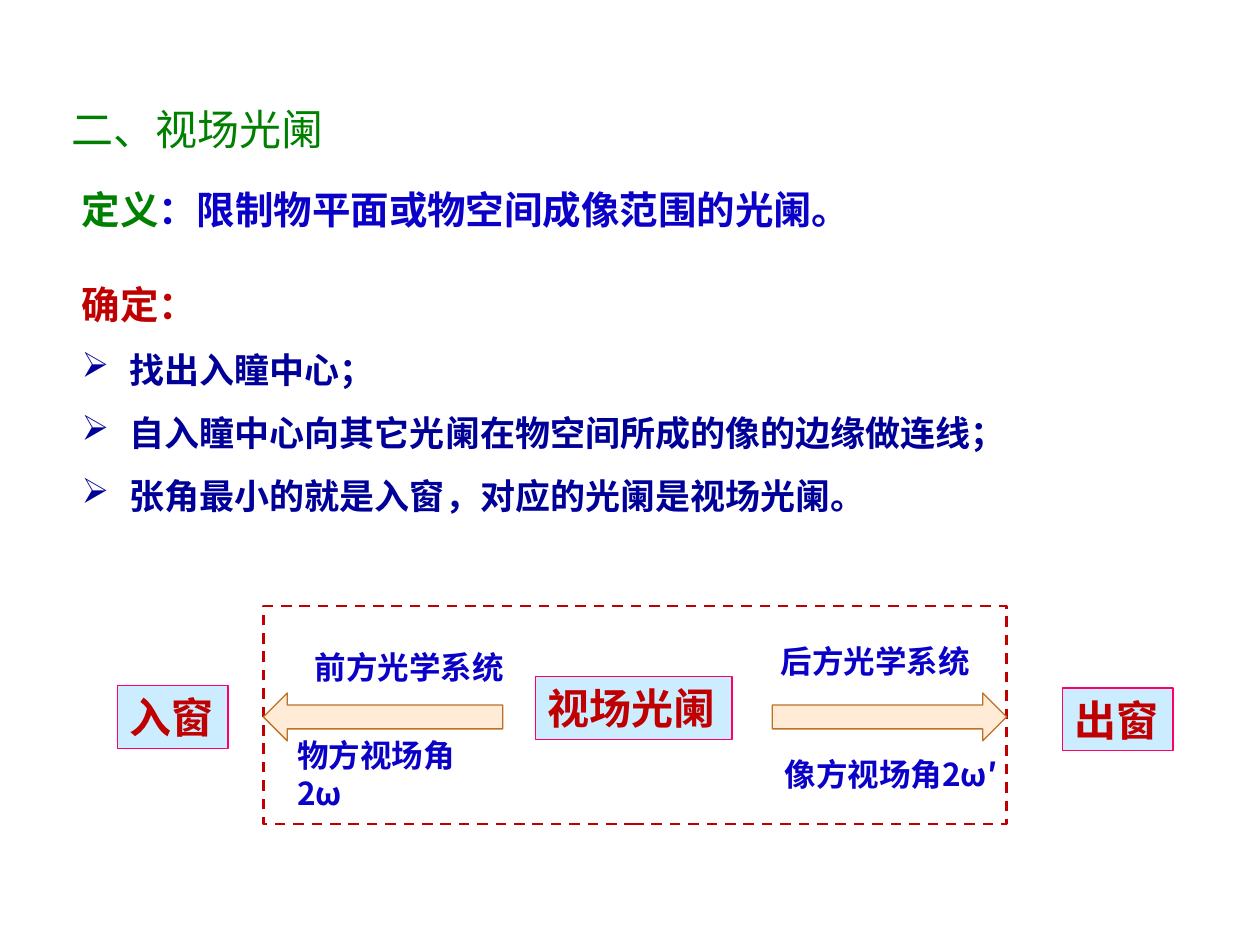
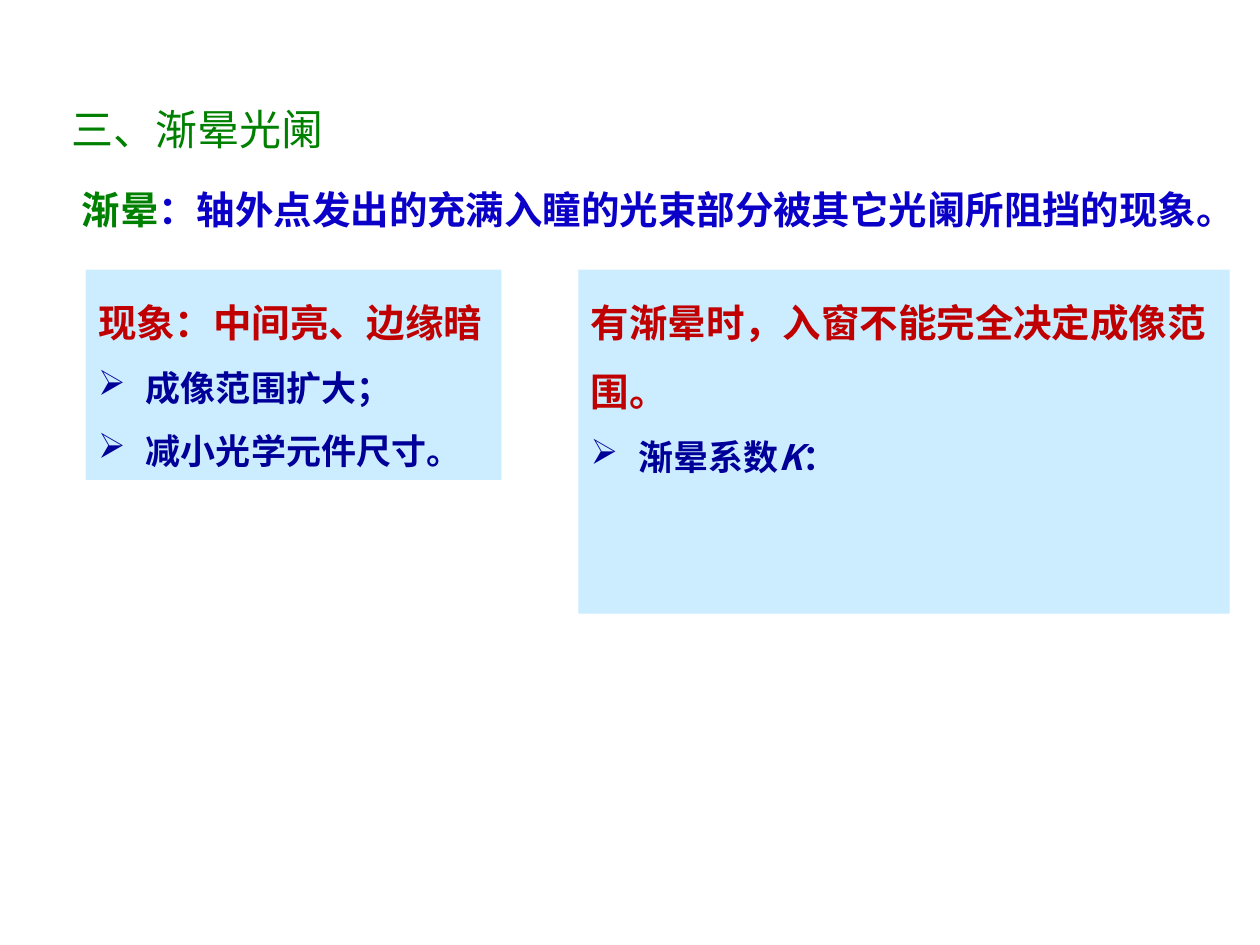
from lxml.etree import SubElement
from pptx import Presentation
from pptx.dml.color import RGBColor
from pptx.enum.dml import MSO_LINE
from pptx.enum.shapes import MSO_SHAPE
from pptx.enum.text import MSO_ANCHOR, PP_ALIGN
from pptx.oxml.ns import qn
from pptx.util import Inches, Pt

FONT = "Noto Sans CJK SC"
GREEN = RGBColor(0x00, 0x80, 0x00)
BLUE = RGBColor(0x0A, 0x00, 0xC8)
NAVY = RGBColor(0x00, 0x00, 0x99)
RED = RGBColor(0xC0, 0x00, 0x00)
PINK = RGBColor(0xFF, 0x00, 0x66)
SKY = RGBColor(0xCC, 0xEC, 0xFF)
CREAM = RGBColor(0xFF, 0xEB, 0xD6)
BROWN = RGBColor(0xBD, 0x71, 0x26)
WHITE = RGBColor(0xFF, 0xFF, 0xFF)


def style(run, size, color, bold=True, slant=False):
    font = run.font
    font.size, font.bold, font.italic = Pt(size), bold, slant
    font.color.rgb = color
    font.name = FONT
    SubElement(run._r.get_or_add_rPr(), qn("a:ea"), typeface=FONT)


def write(para, parts, size, bold=True, space=1.0):
    para.alignment = PP_ALIGN.LEFT
    para.line_spacing = Pt(round(size * 1.2 * space, 1))
    for text, color, *slant in parts:
        run = para.add_run()
        run.text = text
        style(run, size, color, bold, bool(slant))


def bullet(para, parts):
    write(para, parts, 20)
    para.space_before = Pt(12)
    props = para._p.get_or_add_pPr()
    props.set("marL", str(Inches(0.38)))
    props.set("indent", str(-Inches(0.38)))
    SubElement(props, qn("a:buChar"), char="➢")


def setup(shape):
    frame = shape.text_frame
    frame.word_wrap = True
    frame.vertical_anchor = MSO_ANCHOR.TOP
    return frame


def label(slide, box, parts, size, bold=True, space=1.0):
    shape = slide.shapes.add_textbox(*map(Inches, box))
    write(setup(shape).paragraphs[0], parts, size, bold, space)


def block(slide, kind, box, fill, line=None, width=0.75):
    shape = slide.shapes.add_shape(kind, *map(Inches, box))
    shape.shadow.inherit = False
    shape.fill.solid()
    shape.fill.fore_color.rgb = fill
    if line is None:
        shape.line.fill.background()
    else:
        shape.line.color.rgb = line
        shape.line.width = Pt(width)
    return shape


def points(frame, head, items, space=1.0):
    write(frame.paragraphs[0], [(head, RED)], 22, space=space)
    for parts in items:
        bullet(frame.add_paragraph(), parts)


def header(slide, title, term, text, width):
    label(slide, (0.47, 0.69, 2.73, 0.59), [(title, GREEN)], 24, False, 1.2)
    label(slide, (0.55, 1.43, width, 0.47), [(term, GREEN), (text, BLUE)], 22)


def panel(slide, box, head, items):
    shape = block(slide, MSO_SHAPE.RECTANGLE, box, SKY)
    points(setup(shape), head, items, 1.5)


def diagram(slide, box):
    left, top, width, height = box
    frame = block(slide, MSO_SHAPE.RECTANGLE, box, WHITE, RED, 1.5)
    frame.line.dash_style = MSO_LINE.DASH
    for text, x, y, w in (
        ("前方光学系统", 0.31, 0.28, 1.73),
        ("物方视场角2ω", 0.17, 0.98, 1.6),
        ("后方光学系统", 4.01, 0.24, 1.73),
        ("像方视场角2ω′", 4.04, 1.13, 2.11),
    ):
        label(slide, (left + x, top + y, w, 0.4), [(text, BLUE)], 18)
    for text, x, y, w in (
        ("视场光阑", 2.16, 0.56, 1.56),
        ("入窗", -1.16, 0.63, 0.88),
        ("出窗", 6.34, 0.65, 0.88),
    ):
        spot = (left + x, top + y, w, 0.5)
        shape = block(slide, MSO_SHAPE.RECTANGLE, spot, SKY, PINK)
        write(setup(shape).paragraphs[0], [(text, RED)], 24)
    for kind, x, w in (
        (MSO_SHAPE.LEFT_ARROW, 0, 1.9),
        (MSO_SHAPE.RIGHT_ARROW, width - 1.86, 1.86),
    ):
        block(slide, kind, (left + x, top + 0.69, w, 0.38), CREAM, BROWN)


def field(slide):
    header(slide, "二、视场光阑", "定义", "：限制物平面或物空间成像范围的光阑。", 6.41)
    steps = slide.shapes.add_textbox(*map(Inches, (0.55, 2.18, 7.64, 1.99)))
    points(setup(steps), "确定：", [
        [("找出入瞳中心；", NAVY)],
        [("自入瞳中心向其它光阑在物空间所成的像的边缘做连线；", NAVY)],
        [("张角最小的就是入窗，对应的光阑是视场光阑。", NAVY)],
    ])
    diagram(slide, (2.09, 4.81, 5.9, 1.73))


def fading(slide):
    header(slide, "三、渐晕光阑", "渐晕",
           "：轴外点发出的充满入瞳的光束部分被其它光阑所阻挡的现象。", 9.45)
    panel(slide, (0.68, 2.14, 3.3, 1.67), "现象：中间亮、边缘暗", [
        [("成像范围扩大；", NAVY)],
        [("减小光学元件尺寸。", NAVY)],
    ])
    panel(slide, (4.59, 2.14, 5.17, 2.73), "有渐晕时，入窗不能完全决定成像范围。", [
        [("渐晕系数", NAVY), ("K", NAVY, True), ("：", NAVY)],
    ])


def main():
    deck = Presentation()
    deck.slide_width, deck.slide_height = Inches(10), Inches(7.5)
    for build in (field, fading):
        build(deck.slides.add_slide(deck.slide_layouts[6]))
    deck.save("out.pptx")


if __name__ == "__main__":
    main()
